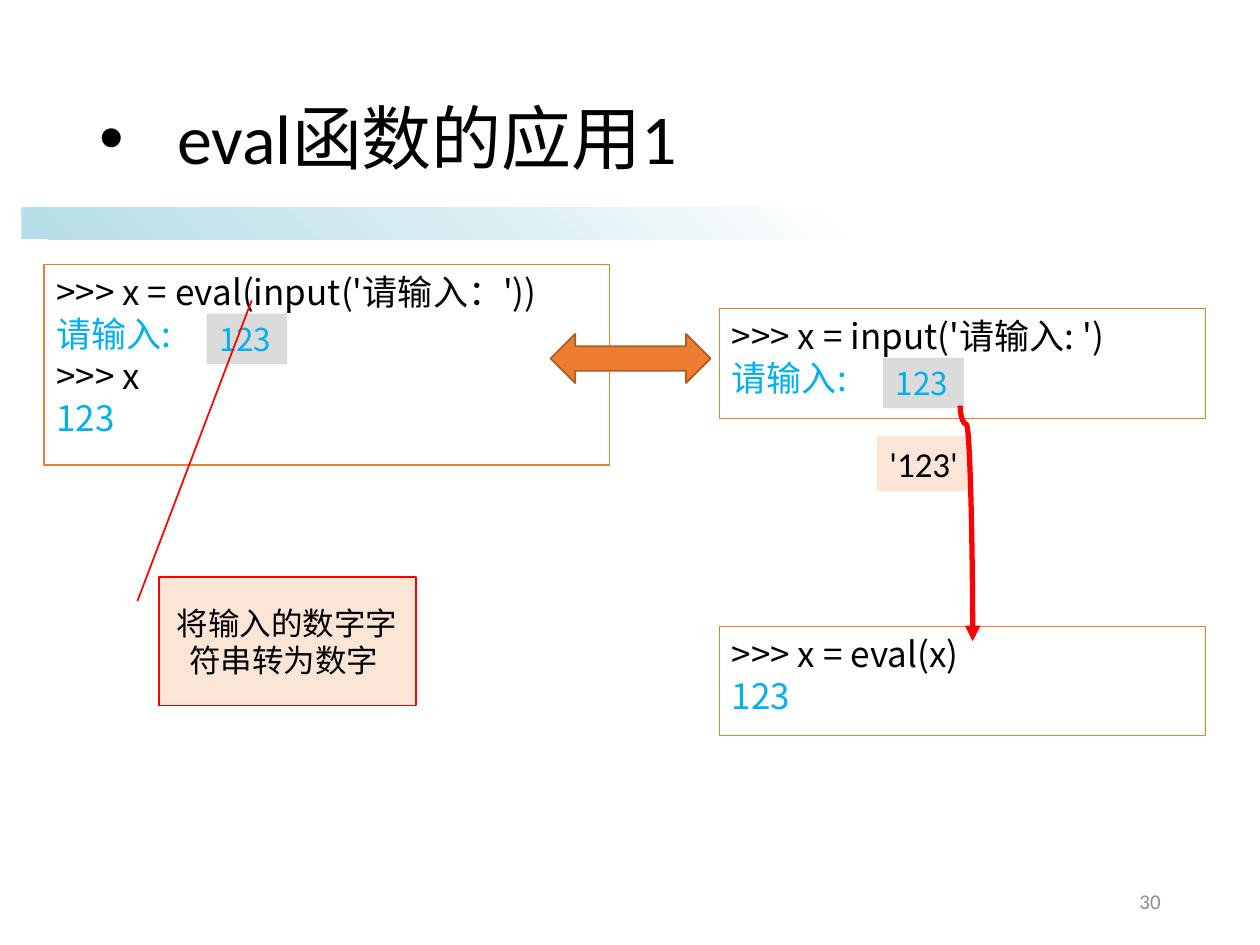
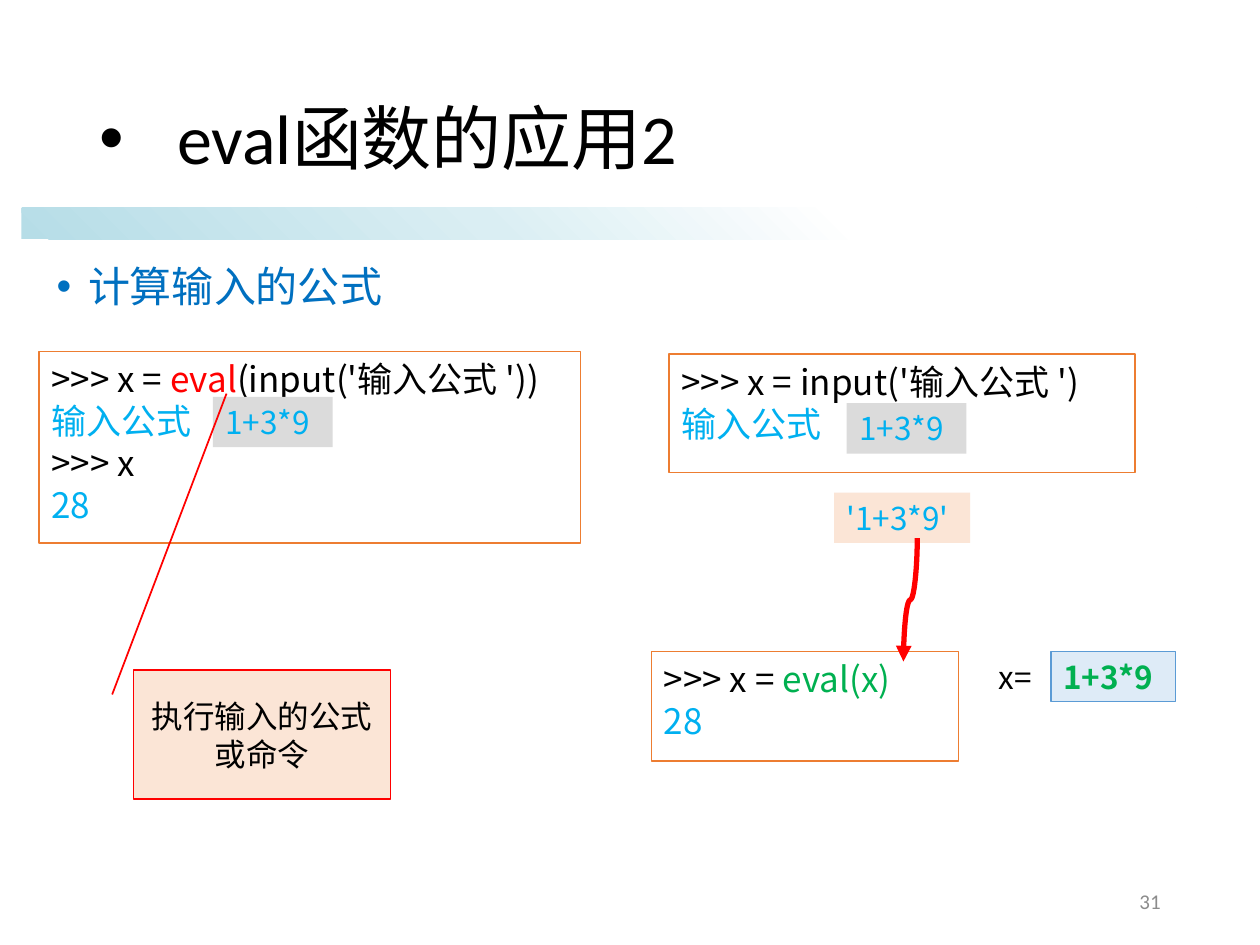
from lxml import etree
from pptx import Presentation, util as u
from pptx.dml.color import RGBColor
from pptx.enum import shapes, text
from pptx.oxml.ns import qn

BLACK = RGBColor(0x00, 0x00, 0x00)
WHITE = RGBColor(0xFF, 0xFF, 0xFF)
GREY = RGBColor(0x8C, 0x8C, 0x8C)
LIGHT_GREY = RGBColor(0xDB, 0xDB, 0xDB)
ORANGE = RGBColor(0xED, 0x7D, 0x31)
DARK_ORANGE = RGBColor(0xAF, 0x5C, 0x24)
PEACH = RGBColor(0xFB, 0xE5, 0xD6)
RED = RGBColor(0xFF, 0x00, 0x00)
GREEN = RGBColor(0x00, 0xB0, 0x50)
CYAN = RGBColor(0x00, 0xB0, 0xF0)
BLUE = RGBColor(0x00, 0x70, 0xC0)
MID_BLUE = RGBColor(0x5B, 0x9B, 0xD5)
PALE_BLUE = RGBColor(0xDE, 0xEB, 0xF7)
BAND_STOPS = ((0, RGBColor(0xB6, 0xDD, 0xE7)), (40, RGBColor(0xDA, 0xEE, 0xF3)),
              (70, WHITE), (100, WHITE))

LATIN, CJK = "Calibri", "Noto Sans CJK SC"
CODE = {"name": CJK, "size": u.Pt(20)}
VALUE = {"name": CJK, "size": u.Pt(18)}
NOTE = {"name": LATIN, "size": u.Pt(18)}
TITLE = {"name": LATIN, "size": u.Pt(40)}
TOPIC = {"name": CJK, "size": u.Pt(24)}
NUMBER = {"name": LATIN, "size": u.Pt(12)}

VALUE_HEIGHT = 0.4
CALLOUT_SIZE = (2.04, 1.02)
CALLOUT_POINTER = (0.188, -0.083, -2.153, 0.362)


def set_attributes(target, values):
    for name, value in values.items():
        setattr(target, name, value)


def add_element(parent, tag, **attributes):
    return etree.SubElement(parent, qn(tag), attributes)


class Deck:
    """Holds the presentation, its style and the slide being filled."""

    def __init__(self):
        self.presentation = Presentation()
        self.presentation.slide_width = u.Inches(10)
        self.presentation.slide_height = u.Inches(7.5)
        self.slide = None

    def new_slide(self, title, number):
        layout = self.presentation.slide_layouts[6]
        self.slide = self.presentation.slides.add_slide(layout)
        self.band()
        self.bullet((0.69, 0.4, 8.62, 1.45), title, TITLE, BLACK, indent=0.62,
                    anchor=text.MSO_ANCHOR.MIDDLE, line_spacing=0.9)
        footer = self.text_box(7.06, 6.95, 2.25, 0.4)
        self.fill_text(footer, [[(str(number), GREY)]], NUMBER,
                       anchor=text.MSO_ANCHOR.MIDDLE, alignment=text.PP_ALIGN.RIGHT)

    def band(self):
        band = self.shape(shapes.MSO_SHAPE.RECTANGLE, (0.17, 1.65, 9.33, 0.25))
        band.fill.gradient()
        band.fill.gradient_angle = 45
        stops = band.element.spPr.find(".//" + qn("a:gsLst"))
        for stop in list(stops):
            stops.remove(stop)
        for percent, color in BAND_STOPS:
            stop = add_element(stops, "a:gs", pos=str(percent * 1000))
            add_element(stop, "a:srgbClr", val=str(color))

    def shape(self, kind, box, fill=None, line=None, line_width=0.75):
        shape = self.slide.shapes.add_shape(kind, *map(u.Inches, box))
        shape.shadow.inherit = False
        if fill is None:
            shape.fill.background()
        else:
            shape.fill.solid()
            shape.fill.fore_color.rgb = fill
        if line is None:
            shape.line.fill.background()
        else:
            shape.line.color.rgb = line
            shape.line.width = u.Pt(line_width)
        return shape

    def text_box(self, *box):
        return self.slide.shapes.add_textbox(*map(u.Inches, box))

    def fill_text(self, shape, lines, font, anchor=text.MSO_ANCHOR.TOP, wrap=True,
                  **paragraph_format):
        """Fill a shape with lines, each a list of (words, colour) pairs."""
        frame = shape.text_frame
        set_attributes(frame, {"word_wrap": wrap, "vertical_anchor": anchor})
        for index, line in enumerate(lines):
            paragraph = frame.add_paragraph() if index else frame.paragraphs[0]
            set_attributes(paragraph, {"alignment": text.PP_ALIGN.LEFT, **paragraph_format})
            for words, color in line:
                run = paragraph.add_run()
                run.text = words
                set_attributes(run.font, font)
                run.font.color.rgb = color
                add_element(run._r.get_or_add_rPr(), "a:ea", typeface=CJK)

    def bullet(self, box, words, font, color, indent, **text_format):
        shape = self.text_box(*box)
        self.fill_text(shape, [[(words, color)]], font, **text_format)
        properties = shape.text_frame.paragraphs[0]._p.get_or_add_pPr()
        properties.set("marL", str(u.Inches(indent)))
        properties.set("indent", str(u.Inches(-indent)))
        add_element(properties, "a:buFont", typeface="Arial")
        add_element(properties, "a:buChar", char="•")

    def code(self, box, *lines):
        shape = self.shape(shapes.MSO_SHAPE.RECTANGLE, box, line=ORANGE)
        self.fill_text(shape, lines, CODE)

    def value(self, left, top, width, words, color=CYAN, fill=LIGHT_GREY, line=None,
              height=VALUE_HEIGHT, font=VALUE):
        shape = self.shape(shapes.MSO_SHAPE.RECTANGLE, (left, top, width, height), fill, line)
        self.fill_text(shape, [[(words, color)]], font, wrap=False)

    def callout(self, left, top, words):
        shape = self.shape(shapes.MSO_SHAPE.LINE_CALLOUT_1, (left, top, *CALLOUT_SIZE),
                           PEACH, RED, 1)
        for index, adjustment in enumerate(CALLOUT_POINTER):
            shape.adjustments[index] = adjustment
        self.fill_text(shape, [[(words, BLACK)]], NOTE, anchor=text.MSO_ANCHOR.MIDDLE,
                       alignment=text.PP_ALIGN.CENTER)

    def curved_arrow(self, start, end, bend):
        """Draw a downward S-curve: a horizontal curve turned by a quarter."""
        (start_x, start_y), (end_x, end_y) = start, end
        middle_x, middle_y = (start_x + end_x) / 2, (start_y + end_y) / 2
        half_length, half_drift = (end_y - start_y) / 2, abs(end_x - start_x) / 2
        to_right = end_x > start_x
        side = -1 if to_right else 1
        points = (middle_x - side * half_length, middle_y - half_drift,
                  middle_x + side * half_length, middle_y + half_drift)
        arrow = self.slide.shapes.add_connector(shapes.MSO_CONNECTOR.CURVE,
                                                *map(u.Inches, points))
        arrow.line.color.rgb = RED
        arrow.line.width = u.Pt(3)
        properties = arrow._element.spPr
        properties.find(qn("a:xfrm")).set("rot", str((270 if to_right else 90) * 60000))
        guides = properties.find(qn("a:prstGeom")).get_or_add_avLst()
        add_element(guides, "a:gd", name="adj1", fmla=f"val {round(bend * 100000)}")
        add_element(properties.find(qn("a:ln")), "a:tailEnd", type="triangle")
        add_element(properties, "a:effectLst")


def build_number_slide(deck):
    deck.new_slide("eval函数的应用1", 30)
    prompt, answer = [("请输入:", CYAN)], [("123", CYAN)]
    deck.code((0.35, 2.1, 4.49, 1.59), [(">>> x = eval(input('请输入：'))", BLACK)],
              prompt, [(">>> x", BLACK)], answer)
    deck.value(1.64, 2.49, 0.64, "123")
    deck.code((5.71, 2.45, 3.86, 0.87), [(">>> x = input('请输入: ')", BLACK)], prompt)
    deck.value(7.01, 2.84, 0.64, "123")
    deck.code((5.71, 4.97, 3.86, 0.87), [(">>> x = eval(x)", BLACK)], answer)
    deck.value(6.96, 3.46, 0.75, "'123'", BLACK, PEACH, height=0.44,
               font={**CODE, "name": LATIN})
    deck.curved_arrow((7.62, 3.22), (7.72, 5.09), bend=0.08)
    deck.shape(shapes.MSO_SHAPE.LEFT_RIGHT_ARROW, (4.37, 2.65, 1.27, 0.39),
               ORANGE, DARK_ORANGE, 1)
    deck.callout(1.26, 4.58, "将输入的数字字符串转为数字 ")


def build_formula_slide(deck):
    deck.new_slide("eval函数的应用2", 31)
    deck.bullet((0.35, 2.02, 3.19, 0.59), "计算输入的公式", TOPIC, BLUE, indent=0.25)
    prompt, answer = [("输入公式", CYAN)], [("28", CYAN)]
    deck.code((5.31, 2.81, 3.7, 0.94), [(">>> x = input('输入公式 ')", BLACK)], prompt)
    deck.value(6.72, 3.2, 0.95, "1+3*9")
    deck.code((0.31, 2.79, 4.3, 1.52),
              [(">>> x = ", BLACK), ("eval", RED), ("(input('输入公式 '))", BLACK)],
              prompt, [(">>> x", BLACK)], answer)
    deck.value(1.69, 3.15, 0.95, "1+3*9")
    deck.value(6.62, 3.91, 1.08, "'1+3*9'", fill=PEACH)
    deck.code((5.17, 5.17, 2.44, 0.87), [(">>> x = ", BLACK), ("eval(x)", GREEN)], answer)
    deck.curved_arrow((7.28, 4.27), (7.17, 5.25), bend=0.5)
    deck.value(7.83, 5.17, 0.52, "x=", BLACK, WHITE)
    deck.value(8.34, 5.17, 0.99, "1+3*9", GREEN, PALE_BLUE, MID_BLUE,
               font={**VALUE, "bold": True})
    deck.callout(1.06, 5.32, "执行输入的公式或命令")


def main():
    deck = Deck()
    build_number_slide(deck)
    build_formula_slide(deck)
    deck.presentation.save("out.pptx")


if __name__ == "__main__":
    main()
